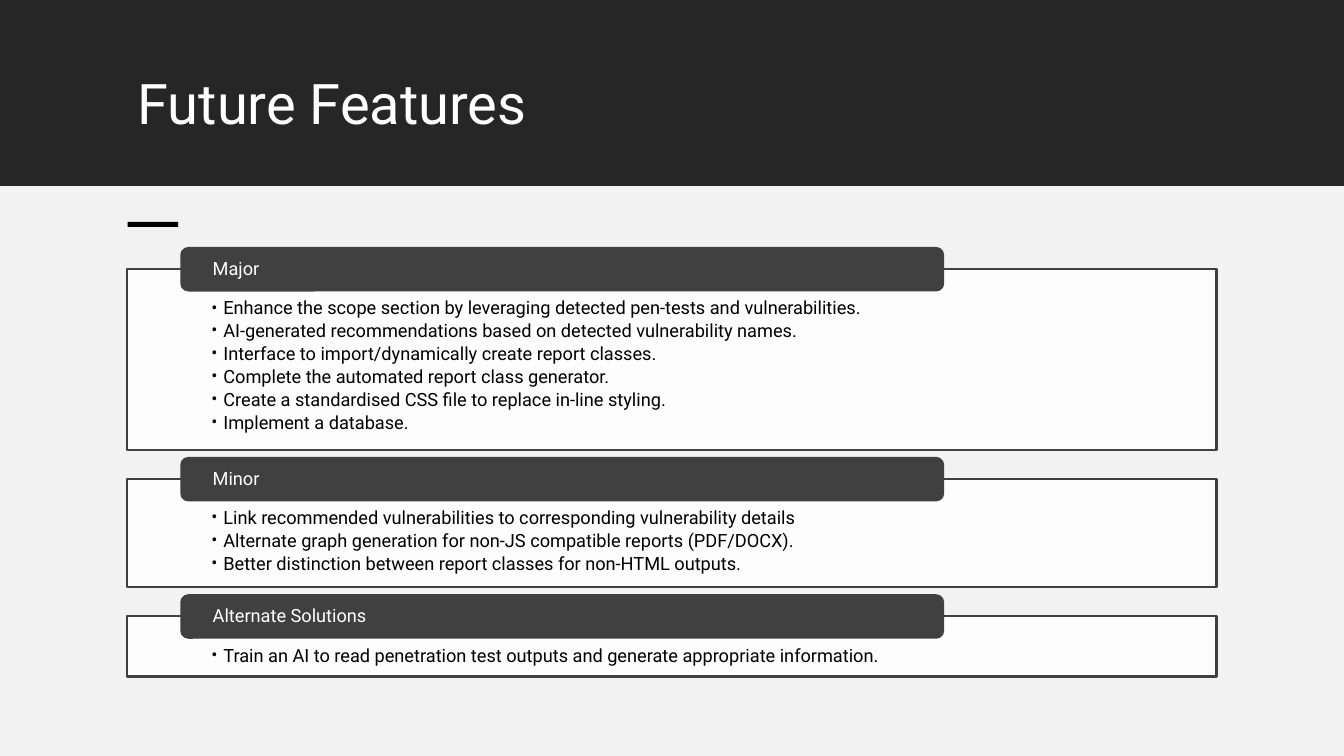
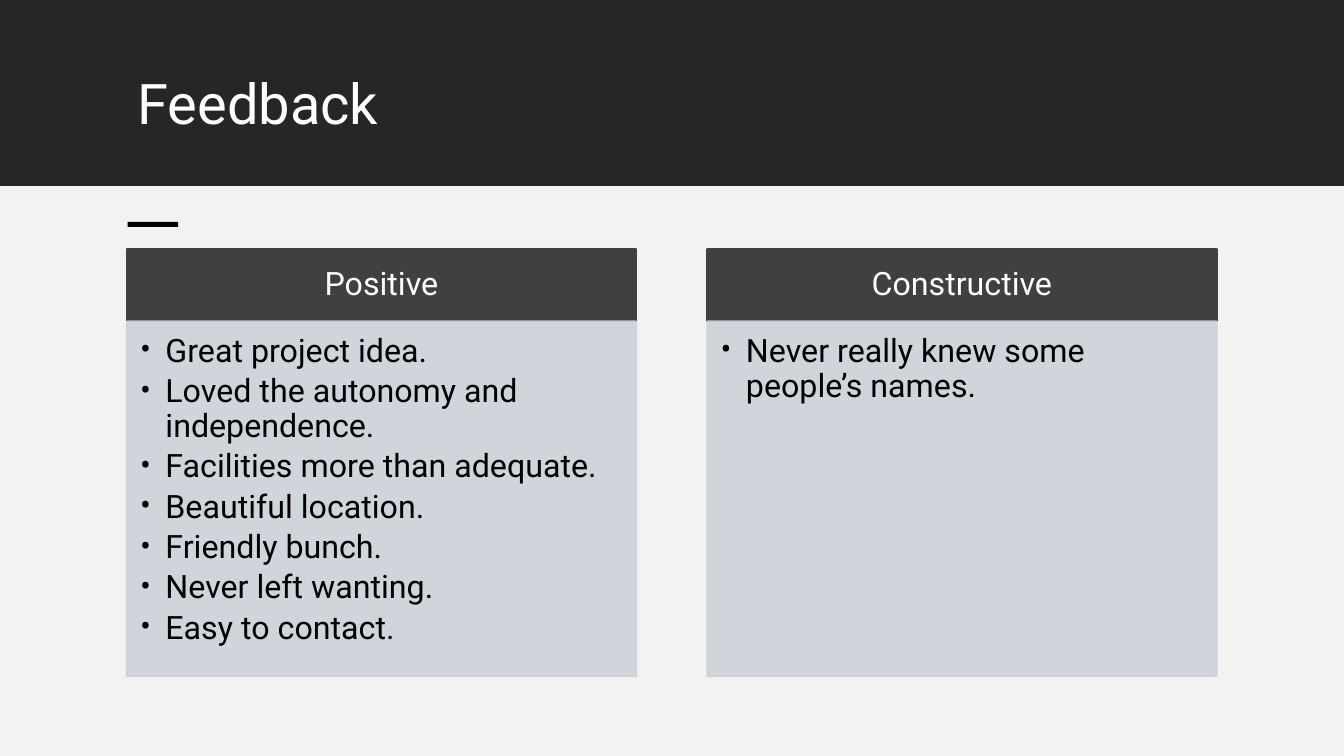
from lxml import etree
from pptx import Presentation, util as u
from pptx.dml.color import RGBColor
from pptx.enum import shapes, text
from pptx.oxml import ns

WHITE = RGBColor(0xFF, 0xFF, 0xFF)
BLACK = RGBColor(0x00, 0x00, 0x00)
BAND = RGBColor(0x26, 0x26, 0x26)
HEADER = RGBColor(0x40, 0x40, 0x40)
PAGE = RGBColor(0xF2, 0xF2, 0xF2)
COLUMN = RGBColor(0xCC, 0xD2, 0xD8)
RECTANGLE = shapes.MSO_SHAPE.RECTANGLE
ROUNDED = shapes.MSO_SHAPE.ROUNDED_RECTANGLE
MIDDLE = text.MSO_ANCHOR.MIDDLE
TOP = text.MSO_ANCHOR.TOP
LEFT = text.PP_ALIGN.LEFT
CENTER = text.PP_ALIGN.CENTER

SLIDE_WIDTH, SLIDE_HEIGHT = 33.87, 19.05
BAND_HEIGHT = 4.69
CONTENT_LEFT, CONTENT_WIDTH = 3.2, 27.46
OPACITY = 90

FEATURES = [
    ("Major", 4.55, [
        "Enhance the scope section by leveraging detected pen-tests and vulnerabilities.",
        "AI-generated recommendations based on detected vulnerability names.",
        "Interface to import/dynamically create report classes.",
        "Complete the automated report class generator.",
        "Create a standardised CSS file to replace in-line styling.",
        "Implement a database.",
    ]),
    ("Minor", 2.72, [
        "Link recommended vulnerabilities to corresponding vulnerability details",
        "Alternate graph generation for non-JS compatible reports (PDF/DOCX).",
        "Better distinction between report classes for non-HTML outputs.",
    ]),
    ("Alternate Solutions", 1.52, [
        "Train an AI to read penetration test outputs and generate appropriate information.",
    ]),
]

FEEDBACK = [
    ("Positive", [
        "Great project idea.",
        "Loved the autonomy and independence.",
        "Facilities more than adequate.",
        "Beautiful location.",
        "Friendly bunch.",
        "Never left wanting.",
        "Easy to contact.",
    ]),
    ("Constructive", ["Never really knew some people’s names."]),
]


def set_opacity(element, percent):
    color = element.find(".//" + ns.qn("a:srgbClr"))
    etree.SubElement(color, ns.qn("a:alpha"), val=str(percent * 1000))


class Deck:
    font = "Roboto"
    line_width = u.Pt(1.5)
    line_spacing = 0.9

    def __init__(self):
        self.presentation = Presentation()
        self.presentation.slide_width = u.Cm(SLIDE_WIDTH)
        self.presentation.slide_height = u.Cm(SLIDE_HEIGHT)
        self.slide = None

    def add_slide(self, title):
        layout = self.presentation.slide_layouts.get_by_name("Title Only")
        self.slide = self.presentation.slides.add_slide(layout)
        self.box(0, 0, SLIDE_WIDTH, BAND_HEIGHT, BAND)
        self.title(title)
        self.box(0, BAND_HEIGHT, SLIDE_WIDTH, SLIDE_HEIGHT - BAND_HEIGHT, PAGE)
        self.box(3.22, 5.59, 1.27, 0.13, BLACK)

    def title(self, title):
        shape = self.slide.shapes.title
        shape.left, shape.top = u.Cm(3.22), u.Cm(1.78)
        shape.width, shape.height = u.Cm(CONTENT_WIDTH), u.Cm(2.49)
        self.slide.shapes._spTree.append(shape._element)
        self.set_text(shape, [title], 40, WHITE, (0.25, 0.13, 0.25, 0.13))

    def box(self, left, top, width, height, fill, line=None, kind=RECTANGLE, opacity=100):
        shape = self.slide.shapes.add_shape(
            kind, u.Cm(left), u.Cm(top), u.Cm(width), u.Cm(height))
        shape.shadow.inherit = False
        shape.fill.solid()
        shape.fill.fore_color.rgb = fill
        if opacity < 100:
            set_opacity(shape._element.spPr, opacity)
        if line is None:
            shape.line.fill.background()
        else:
            shape.line.color.rgb = line
            shape.line.width = self.line_width
        return shape

    def set_text(self, shape, lines, size, color, insets, anchor=TOP, align=LEFT):
        frame = shape.text_frame
        frame.text = "\n".join(lines)
        frame.word_wrap = True
        frame.auto_size = text.MSO_AUTO_SIZE.NONE
        frame.vertical_anchor = anchor
        (frame.margin_left, frame.margin_top,
         frame.margin_right, frame.margin_bottom) = map(u.Cm, insets)
        for paragraph in frame.paragraphs:
            paragraph.alignment = align
            paragraph.line_spacing = self.line_spacing
            for run in paragraph.runs:
                run.font.name = self.font
                run.font.size = u.Pt(size)
                run.font.color.rgb = color

    def bullets(self, shape, lines, size, insets, indent, space_after):
        self.set_text(shape, lines, size, BLACK, insets)
        for paragraph in shape.text_frame.paragraphs:
            paragraph.space_after = u.Pt(space_after)
            properties = paragraph._p.get_or_add_pPr()
            properties.set("marL", str(u.Cm(indent)))
            properties.set("indent", str(-u.Cm(indent)))
            etree.SubElement(properties, ns.qn("a:buFont"), typeface=self.font)
            etree.SubElement(properties, ns.qn("a:buChar"), char="•")

    def feature_panel(self, top, height, heading, lines):
        panel = self.box(CONTENT_LEFT, top, CONTENT_WIDTH, height, WHITE, HEADER, opacity=OPACITY)
        self.bullets(panel, lines, 13, (2.13, 0.76, 2.13, 0.25), 0.3, 2.3)
        tab = self.box(4.57, top - 0.53, 19.2, 1.07, HEADER, HEADER, ROUNDED)
        self.set_text(tab, [heading], 13, WHITE, (0.74, 0, 0.74, 0), MIDDLE)

    def feedback_column(self, left, width, heading, lines):
        header = self.box(left, 6.27, width, 1.83, HEADER, HEADER)
        self.set_text(header, [heading], 23, WHITE, (0.46, 0.25, 0.46, 0.25), MIDDLE, CENTER)
        body = self.box(left, 8.1, width, 8.94, COLUMN, COLUMN, opacity=OPACITY)
        set_opacity(body._element.spPr.find(ns.qn("a:ln")), OPACITY)
        self.bullets(body, lines, 23, (0.33, 0.33, 0.46, 0.51), 0.64, 4)


def main():
    deck = Deck()

    deck.add_slide("Future Features")
    top, gap = 6.78, 0.74
    for heading, height, lines in FEATURES:
        deck.feature_panel(top, height, heading, lines)
        top += height + gap

    deck.add_slide("Feedback")
    width = 12.83
    step = CONTENT_WIDTH - width
    for index, (heading, lines) in enumerate(FEEDBACK):
        deck.feedback_column(CONTENT_LEFT + index * step, width, heading, lines)

    deck.presentation.save("out.pptx")


if __name__ == "__main__":
    main()
